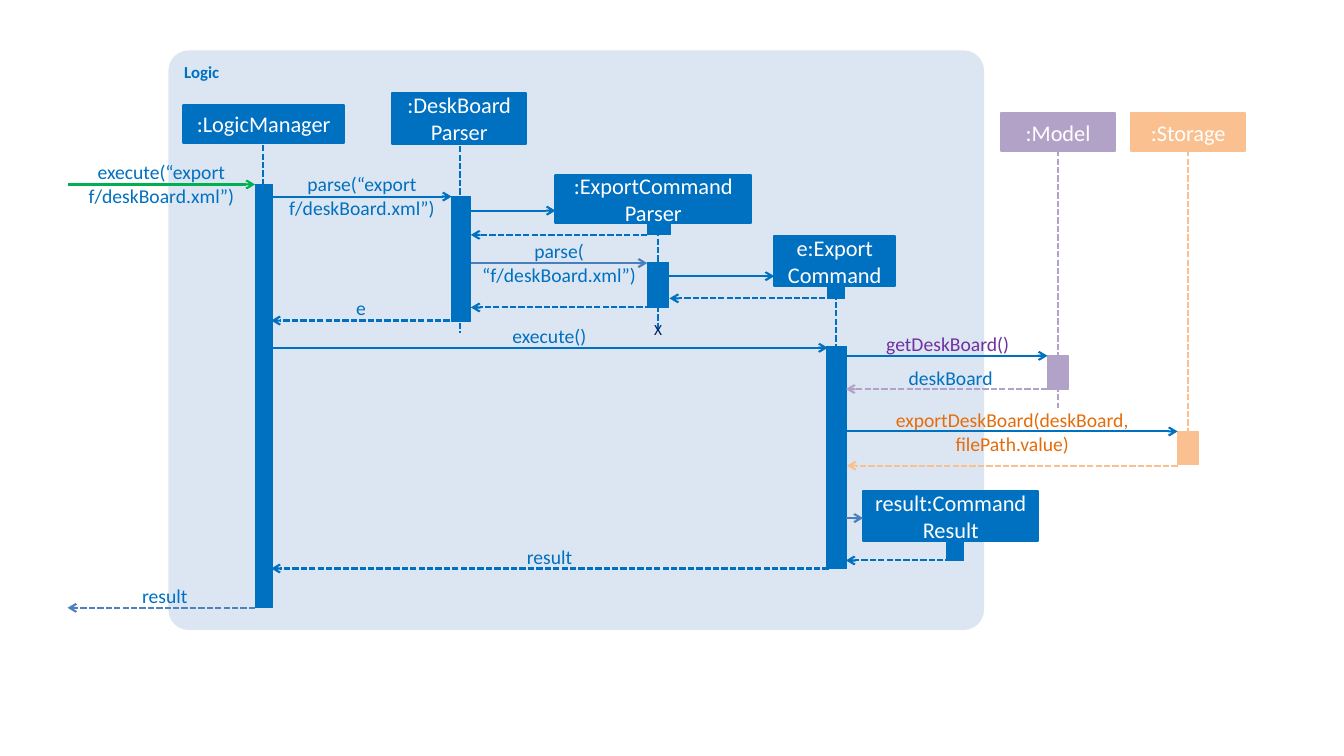
from pptx import Presentation
from pptx.dml.color import RGBColor
from pptx.enum.dml import MSO_LINE
from pptx.enum.shapes import MSO_CONNECTOR, MSO_SHAPE
from pptx.enum.text import MSO_ANCHOR as ANCHOR, MSO_AUTO_SIZE, PP_ALIGN as ALIGN
from pptx.oxml.ns import qn
from pptx.util import Pt
from lxml.etree import SubElement

PX = 9144  # 100 px to the inch
COLORS = {
    "logic": "0070C0", "panel": "DCE6F2", "model": "B3A2C7", "storage": "FAC090",
    "call": "00B050", "reply": "4F81BD", "parse": "4B7EBC", "white": "FFFFFF",
    "model text": "7030A0", "storage text": "E46C0A", "end mark": "002060",
}


def write(shape, text, size=14, color="logic", bold=False, align=ALIGN.CENTER,
          anchor=ANCHOR.TOP, inset=(10, 5), wrap=True):
    """Fill a shape with text; a vertical tab in it is a line break."""
    frame = shape.text_frame
    frame.word_wrap = wrap
    frame.vertical_anchor = anchor
    frame.margin_left = frame.margin_right = inset[0] * PX
    frame.margin_top = frame.margin_bottom = inset[1] * PX
    frame.text = text
    for paragraph in frame.paragraphs:
        paragraph.alignment = align
        for run in paragraph.runs:
            run.font.name = "Calibri"
            run.font.size = Pt(size)
            run.font.bold = bold
            run.font.color.rgb = RGBColor.from_string(COLORS[color])


def connect(x1, y1, x2, y2, color="logic", dashed=False, arrow=True):
    connector = slide.shapes.add_connector(
        MSO_CONNECTOR.STRAIGHT, x1 * PX, y1 * PX, x2 * PX, y2 * PX)
    connector.line.color.rgb = RGBColor.from_string(COLORS[color])
    connector.line.width = Pt(1.5)
    if dashed:
        connector.line.dash_style = MSO_LINE.SQUARE_DOT
    properties = connector._element.spPr
    if arrow:
        SubElement(properties.find(qn("a:ln")), qn("a:tailEnd"), type="arrow")
    SubElement(properties, qn("a:effectLst"))


deck = Presentation()
deck.slide_width, deck.slide_height = 1333 * PX, 750 * PX
slide = deck.slides.add_slide(deck.slide_layouts[6])

logic_panel = slide.shapes.add_shape(
    MSO_SHAPE.ROUNDED_RECTANGLE, 167 * PX, 50 * PX, 809 * PX, 575 * PX)
logic_panel.adjustments[0] = 0.035
logic_panel.shadow.inherit = False
logic_panel.fill.solid()
logic_panel.fill.fore_color.rgb = RGBColor.from_string(COLORS["panel"])
logic_panel.line.fill.background()
write(logic_panel, "Logic", size=12, bold=True, align=ALIGN.LEFT)

lifelines = [
    (261, 144, 428, "logic"), (456, 145, 330, "logic"), (653, 220, 328, "logic"),
    (829, 266, 478, "logic"), (1049, 149, 405, "model"), (1178, 149, 458, "storage"),
]
for x, top, bottom, color in lifelines:
    connect(x, top, x, bottom, color, dashed=True, arrow=False)

# Participants carry a name, activation bars do not
participants = [
    (182, 104, 159, 38, "logic", ":LogicManager"),
    (389, 92, 133, 51, "logic", ":DeskBoard\vParser"),
    (551, 174, 194, 47, "logic", ":ExportCommand\nParser"),
    (768, 234, 120, 50, "logic", "e:Export\vCommand"),
    (856, 487, 174, 50, "logic", "result:Command Result"),
    (993, 112, 113, 38, "model", ":Model"),
    (1122, 112, 113, 38, "storage", ":Storage"),
]
activations = [
    (253, 183, 17, 420, "logic", ""), (448, 195, 19, 124, "logic", ""),
    (642, 220, 23, 13, "logic", ""), (642, 260, 21, 45, "logic", ""),
    (821, 266, 17, 30, "logic", ""), (820, 344, 20, 220, "logic", ""),
    (939, 537, 17, 19, "logic", ""), (1039, 353, 21, 33, "model", ""),
    (1168, 428, 21, 33, "storage", ""),
]
for x, y, width, height, color, name in activations + participants:
    box = slide.shapes.add_shape(
        MSO_SHAPE.RECTANGLE, x * PX, y * PX, width * PX, height * PX)
    box.shadow.inherit = False
    box.fill.solid()
    box.fill.fore_color.rgb = box.line.color.rgb = RGBColor.from_string(COLORS[color])
    box.line.width = Pt(1.5 if name else 0.75)
    if name:
        write(box, name, size=16, color="white", anchor=ANCHOR.MIDDLE)

calls = [
    (67, 183, 253, "call"), (269, 195, 448, "logic"), (462, 209, 551, "logic"),
    (467, 261, 642, "parse"), (661, 274, 768, "logic"), (269, 345, 821, "logic"),
    (838, 353, 1039, "logic"), (840, 428, 1168, "logic"), (839, 514, 856, "parse"),
]
replies = [
    (642, 233, 467, "logic"), (827, 296, 664, "logic"), (654, 305, 467, "logic"),
    (446, 318, 269, "logic"), (1039, 386, 839, "model"), (1168, 462, 840, "storage"),
    (944, 556, 839, "logic"), (822, 564, 269, "logic"), (253, 603, 67, "reply"),
]
for messages, dashed in ((calls, False), (replies, True)):
    for sender, y, receiver, color in messages:
        connect(sender, y, receiver, y, color, dashed)

plain = {"inset": (0, 0)}
middle = {"inset": (0, 0), "anchor": ANCHOR.MIDDLE}
labels = [
    (84, 159, 152, 47, "execute(“export\vf/deskBoard.xml”)", plain),
    (270, 171, 178, 47, "parse(“export f/deskBoard.xml”)", plain),
    (467, 237, 175, 47, "parse(\n“f/deskBoard.xml”)", middle),
    (346, 294, 24, 24, "e", plain),
    (498, 321, 94, 24, "execute()", plain),
    (862, 329, 156, 24, "getDeskBoard()", {**plain, "color": "model text"}),
    (865, 363, 156, 24, "deskBoard", plain),
    (840, 405, 328, 47, "exportDeskBoard(deskBoard, filePath.value)",
     {**middle, "color": "storage text"}),
    (511, 541, 68, 24, "result", plain),
    (103, 579, 83, 24, "result", {**plain, "align": ALIGN.RIGHT}),
    (639, 313, 28, 29, "X",
     {"size": 11, "color": "end mark", "align": ALIGN.LEFT, "wrap": False}),
]
for x, y, width, height, text, style in labels:
    label = slide.shapes.add_textbox(x * PX, y * PX, width * PX, height * PX)
    write(label, text, **style)
    label.text_frame.auto_size = MSO_AUTO_SIZE.SHAPE_TO_FIT_TEXT

deck.save("out.pptx")
